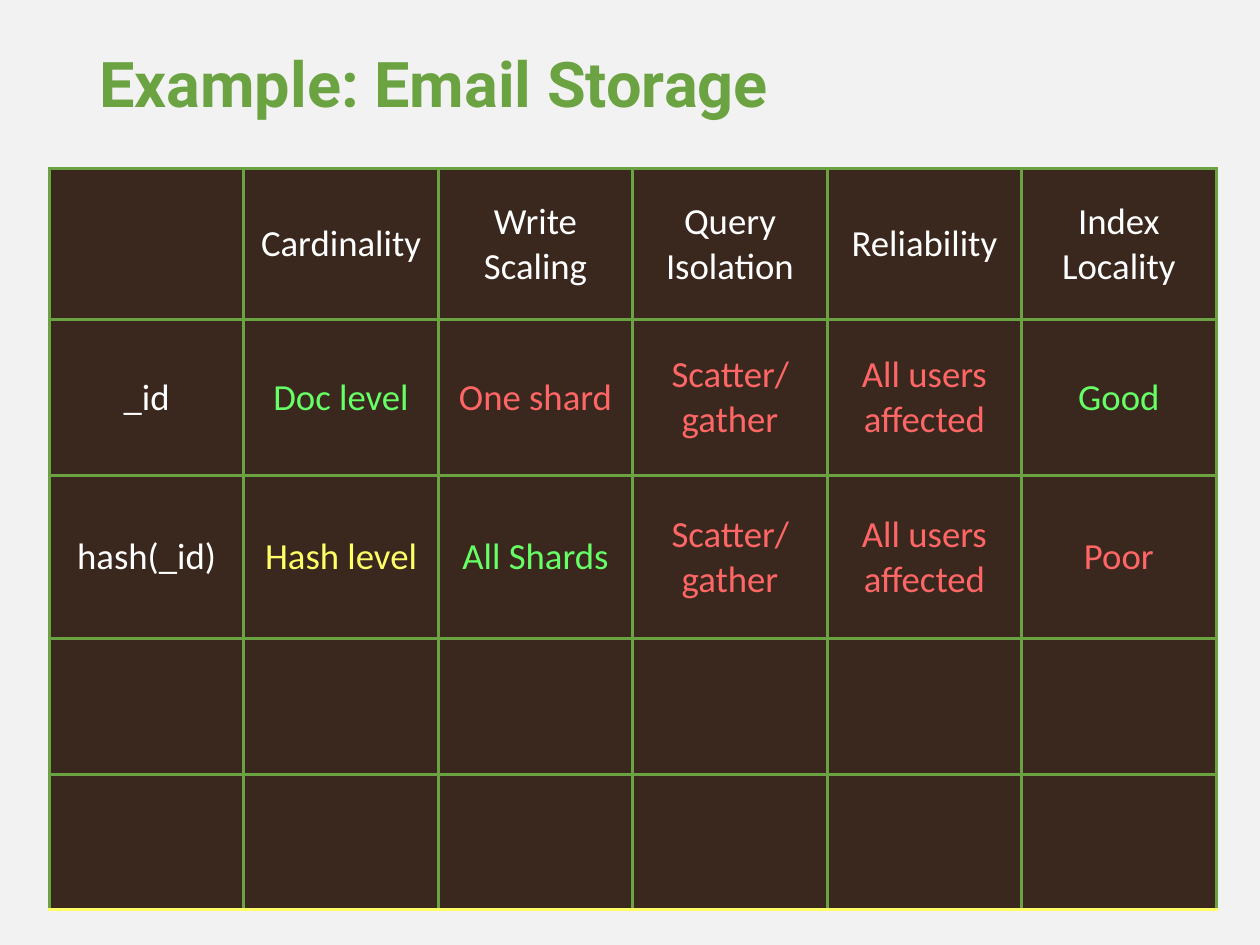
from lxml.etree import SubElement
from pptx import Presentation
from pptx.dml.color import RGBColor
from pptx.enum.text import MSO_ANCHOR, PP_ALIGN
from pptx.oxml.ns import qn
from pptx.util import Pt

GREEN, BROWN, WHITE = "6BA342", "3A281E", "FFFFFF"
GOOD, FAIR, BAD = "66FF66", "FFFF66", "FF6666"


def color(value):
    return RGBColor.from_string(value)


def add_border(cell, side, value):
    line = SubElement(cell._tc.get_or_add_tcPr(), qn(f"a:ln{side}"), w=str(Pt(2)))
    fill = SubElement(line, qn("a:solidFill"))
    SubElement(fill, qn("a:srgbClr"), val=value)


presentation = Presentation()
presentation.slide_width, presentation.slide_height = Pt(720), Pt(540)
slide = presentation.slides.add_slide(presentation.slide_layouts[5])
slide.background.fill.solid()
slide.background.fill.fore_color.rgb = color("F2F2F2")

# Title
title = slide.shapes.title
title.left, title.top, title.width, title.height = Pt(49.5), Pt(26.5), Pt(622), Pt(67)
title.text_frame.word_wrap = True
title.text_frame.vertical_anchor = MSO_ANCHOR.TOP
paragraph = title.text_frame.paragraphs[0]
paragraph.alignment = PP_ALIGN.LEFT
paragraph.line_spacing = 0.9
run = paragraph.add_run()
run.text = "Example: Email Storage"
run.font.name, run.font.size, run.font.bold = "Roboto", Pt(36), True
run.font.color.rgb = color(GREEN)

# Shard key comparison; a line break in a label starts a new paragraph
rows = [
    [("", WHITE), ("Cardinality", WHITE), ("Write Scaling", WHITE),
     ("Query Isolation", WHITE), ("Reliability", WHITE), ("Index\nLocality", WHITE)],
    [("_id", WHITE), ("Doc level", GOOD), ("One shard", BAD),
     ("Scatter/gather", BAD), ("All users affected", BAD), ("Good", GOOD)],
    [("hash(_id)", WHITE), ("Hash level", FAIR), ("All Shards", GOOD),
     ("Scatter/gather", BAD), ("All users affected", BAD), ("Poor", BAD)],
    [("", WHITE)] * 6,
    [("", WHITE)] * 6,
]
row_heights = [86.4, 89.2, 93, 77.6, 77.6]
column_width = 111.12

table = slide.shapes.add_table(
    len(rows), 6, Pt(28.2), Pt(96.2), Pt(6 * column_width), Pt(sum(row_heights))
).table
for column in table.columns:
    column.width = Pt(column_width)

for row_index, (row, height) in enumerate(zip(rows, row_heights)):
    table.rows[row_index].height = Pt(height)
    is_last = row_index == len(rows) - 1
    for column_index, (label, text_color) in enumerate(row):
        cell = table.cell(row_index, column_index)
        for side in "LRTB":
            add_border(cell, side, FAIR if is_last and side == "B" else GREEN)
        cell.fill.solid()
        cell.fill.fore_color.rgb = color(BROWN)
        if not label:
            continue
        cell.vertical_anchor = MSO_ANCHOR.MIDDLE
        cell.margin_left = cell.margin_right = Pt(3)
        cell.margin_top = cell.margin_bottom = Pt(0)
        for line_index, text in enumerate(label.split("\n")):
            frame = cell.text_frame
            paragraph = frame.add_paragraph() if line_index else frame.paragraphs[0]
            paragraph.alignment = PP_ALIGN.CENTER
            run = paragraph.add_run()
            run.text = text
            run.font.name, run.font.size, run.font.bold = "Calibri", Pt(21), False
            run.font.color.rgb = color(text_color)

presentation.save("out.pptx")
